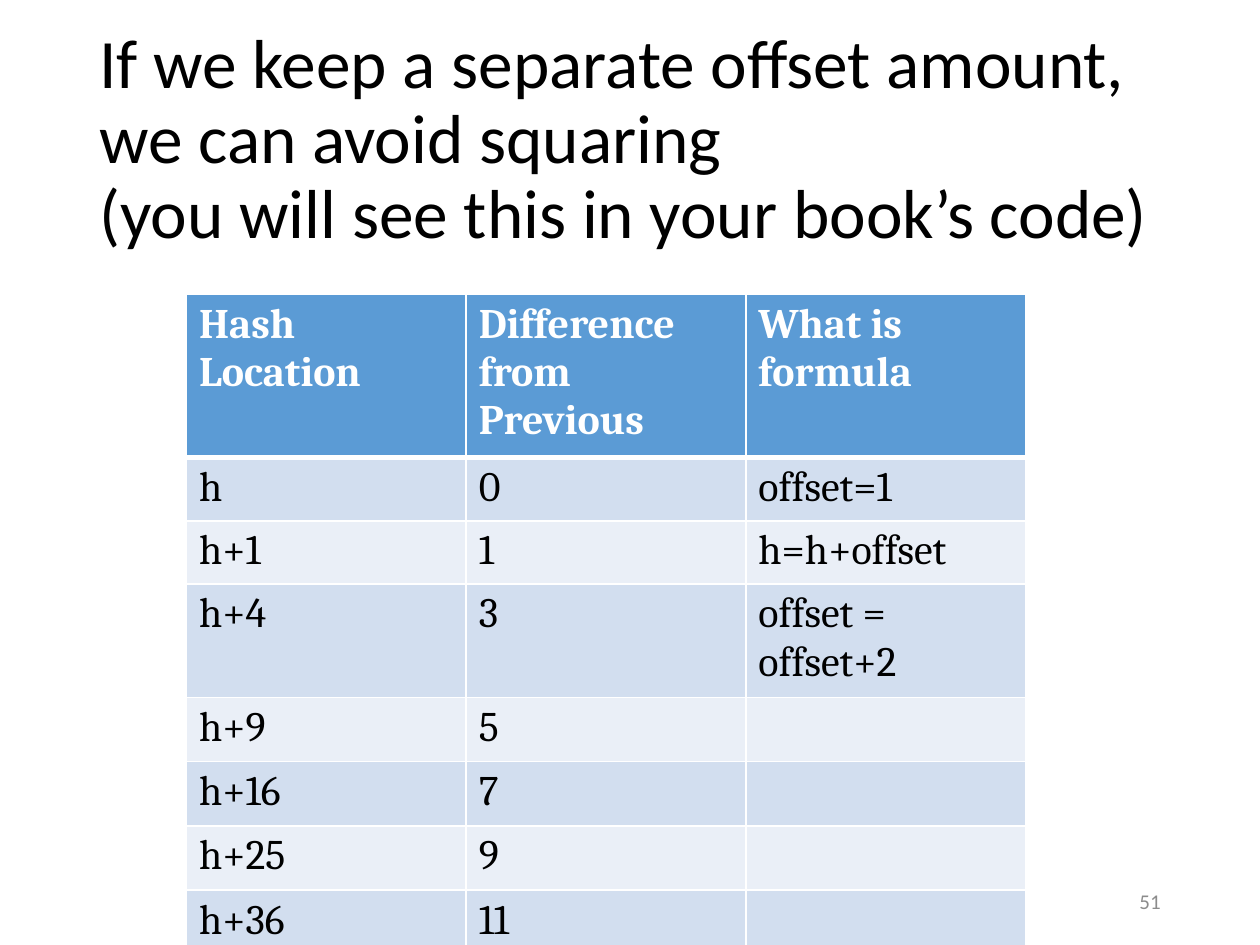
"""Build the slide on quadratic probing with a running offset."""
from pptx import Presentation
from pptx.dml.color import RGBColor
from pptx.enum.text import MSO_ANCHOR as Anchor, PP_ALIGN as Align
from pptx.oxml import parse_xml
from pptx.oxml.ns import nsdecls
from pptx.util import Inches, Pt

WHITE = RGBColor(0xFF, 0xFF, 0xFF)
BLACK = RGBColor(0x00, 0x00, 0x00)
GRAY = RGBColor(0x8C, 0x8C, 0x8C)
BLUE = RGBColor(0x5B, 0x9B, 0xD5)
BANDS = (RGBColor(0xEA, 0xEF, 0xF7), RGBColor(0xD2, 0xDE, 0xEF))

WIDTH, HEIGHT = Inches(10), Inches(7.5)
COL_W, ROW_H, OPEN_ROW_H = Inches(2.22), Inches(0.41), Inches(0.51)

TITLE = ("If we keep a separate offset amount, we can avoid squaring",
         "(you will see this in your book’s code)")
HEADER = ("Hash Location", "Difference from Previous", "What is formula")
FORMULAS = ("offset=1", "h=h+offset", "offset = offset+2")
ROWS = [HEADER,
        ("h", "0", FORMULAS[0]),
        ("h+1", "1", FORMULAS[1]),
        ("h+4", "3", FORMULAS[2]),
        ("h+9", "5", ""),
        ("h+16", "7", ""),
        ("h+25", "9", ""),
        ("h+36", "11", "")]


def add_run(p, text, size, font, color, bold=False):
    r = p.add_run()
    r.text = text
    r.font.size, r.font.name, r.font.bold = Pt(size), font, bold
    r.font.color.rgb = color


def add_text(slide, box, lines, size, color, align=Align.LEFT, spacing=1.0):
    x, y, w, h = box
    sp = slide.shapes.add_textbox(int(x * WIDTH), int(y * HEIGHT),
                                  int(w * WIDTH), int(h * HEIGHT))
    tf = sp.text_frame
    tf.word_wrap, tf.vertical_anchor = True, Anchor.MIDDLE
    p = tf.paragraphs[0]
    p.alignment, p.line_spacing = align, spacing
    for i, line in enumerate(lines):
        if i:
            p.add_line_break()
        add_run(p, line, size, "Calibri", color)


def set_borders(cell, top, bottom):
    tc_pr = cell._tc.get_or_add_tcPr()
    widths = (("lnL", 1), ("lnR", 1), ("lnT", top), ("lnB", bottom))
    for i, (side, width) in enumerate(widths):
        tc_pr.insert(i, parse_xml(
            f'<a:{side} {nsdecls("a")} w="{Pt(width)}"><a:solidFill>'
            f'<a:srgbClr val="{WHITE}"/></a:solidFill></a:{side}>'))


def fill_cell(cell, text, row):
    head = row == 0
    cell.fill.solid()
    cell.fill.fore_color.rgb = BLUE if head else BANDS[row % 2]
    set_borders(cell, 3 if row == 1 else 1, 3 if head else 1)
    if text:
        add_run(cell.text_frame.paragraphs[0], text, 24, "Cambria",
                WHITE if head else BLACK, head)


def add_grid(slide, x, y, rows):
    n_rows, n_cols = len(rows), len(rows[0])
    table = slide.shapes.add_table(n_rows, n_cols, int(x * WIDTH), int(y * HEIGHT),
                                   COL_W * n_cols, ROW_H * n_rows).table
    for col in table.columns:
        col.width = COL_W
    for i, texts in enumerate(rows):
        table.rows[i].height = ROW_H if all(texts) else OPEN_ROW_H
        for j, text in enumerate(texts):
            fill_cell(table.cell(i, j), text, i)


def main():
    prs = Presentation()
    prs.slide_width, prs.slide_height = WIDTH, HEIGHT
    slide = prs.slides.add_slide(prs.slide_layouts[6])
    add_text(slide, (0.069, 0.053, 0.862, 0.193), TITLE, 39.6, BLACK, spacing=0.9)
    add_text(slide, (0.706, 0.927, 0.225, 0.053), ["51"], 12, GRAY, Align.RIGHT)
    add_grid(slide, 0.148, 0.311, ROWS)
    prs.save("out.pptx")


if __name__ == "__main__":
    main()
